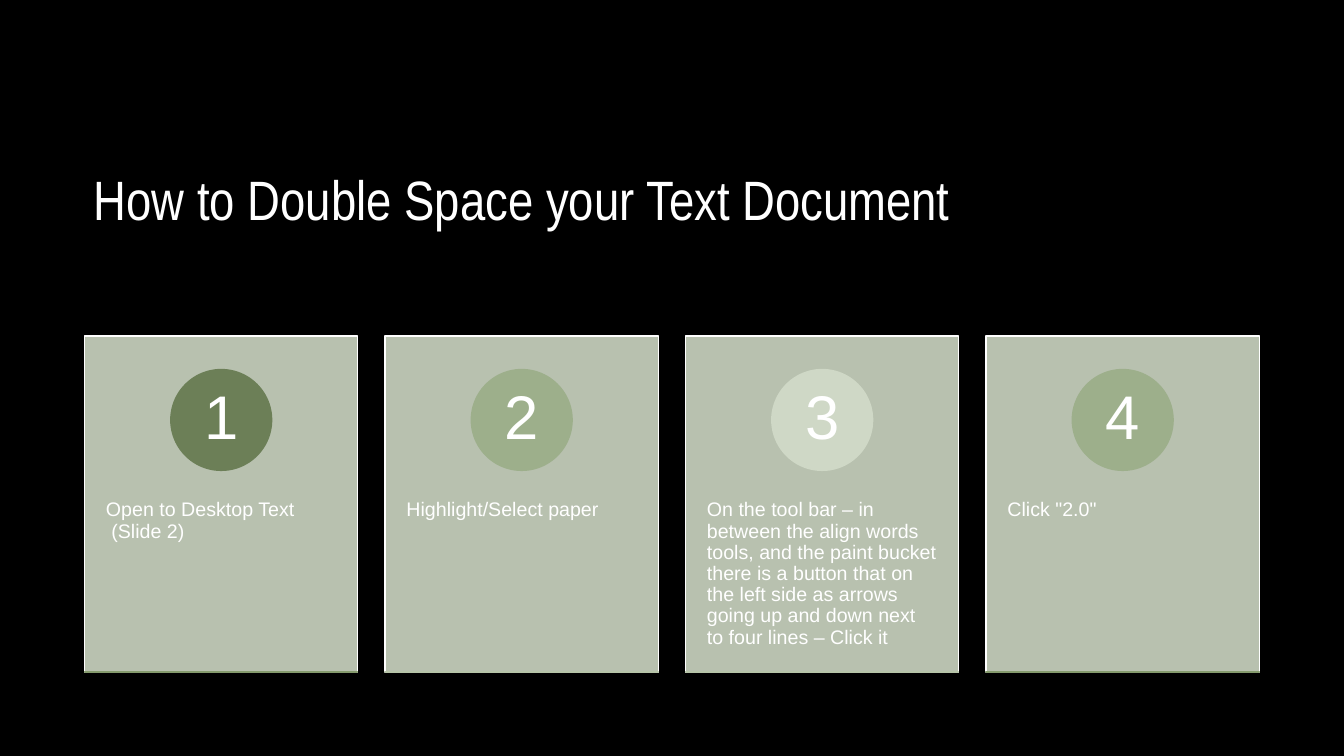
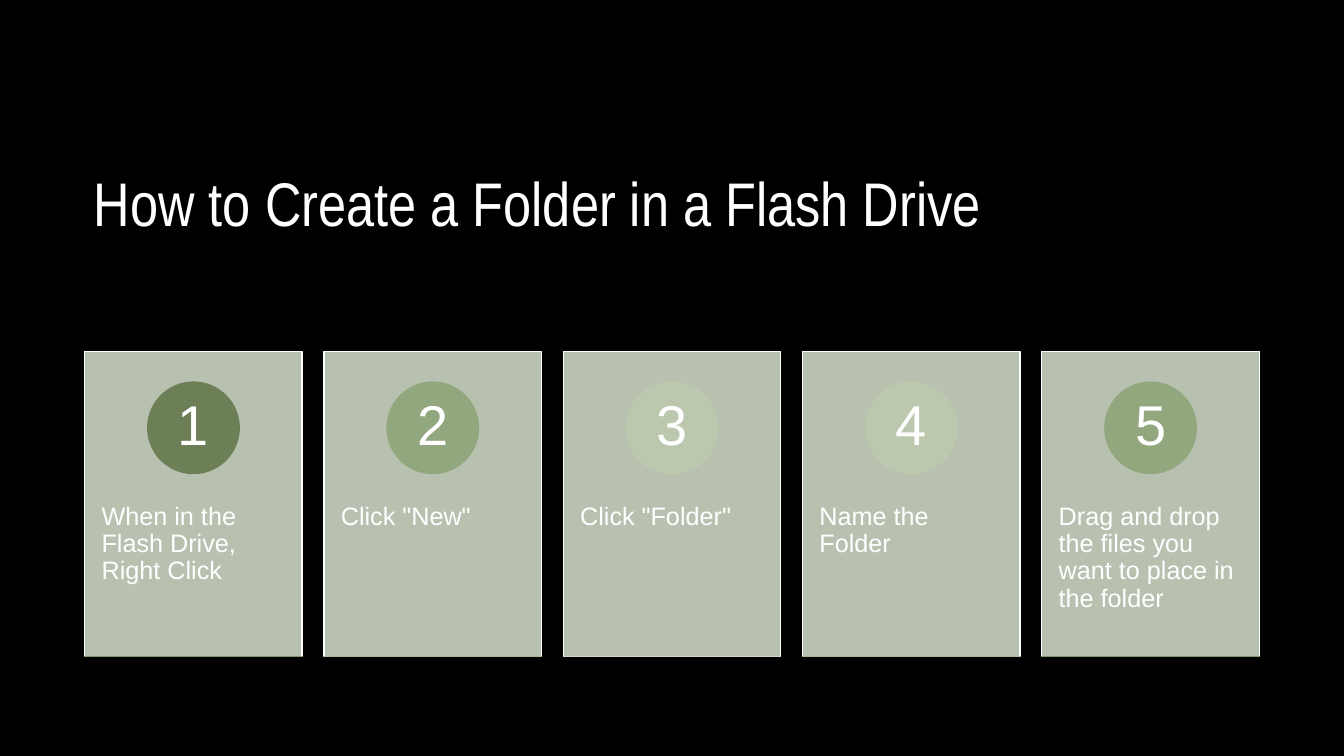
from dataclasses import dataclass
from typing import Any

from lxml.etree import SubElement
from pptx import Presentation
from pptx.dml.color import RGBColor as RGB
from pptx.enum.shapes import MSO_SHAPE as Geo
from pptx.enum.text import MSO_ANCHOR as Anchor, MSO_AUTO_SIZE as Fit, PP_ALIGN as Align
from pptx.oxml.ns import qn
from pptx.util import Emu, Inches, Pt

prs = Presentation()
prs.slide_width, prs.slide_height = Inches(13.33), Inches(7.5)
SW, SH = prs.slide_width, prs.slide_height

BLACK, WHITE, CARD = "000000", "FFFFFF", "CDD7C3"
CARD_ALPHA = 90
BODY_FONT, TITLE_FONT = "Arial", "Arial Narrow"
ROW_LEFT, ROW_WIDTH, ROW_MIDDLE = SW * 0.063, SW * 0.874, SH * 2 / 3
GAP = 0.1
SIDE_INSET = 0.078
RULE_HEIGHT = SH / 100000


@dataclass(frozen=True)
class Box:
    x: float
    y: float
    w: float
    h: float

    def emu(self) -> tuple[Emu, ...]:
        return tuple(Emu(round(v)) for v in (self.x, self.y, self.w, self.h))

    def middle(self, size: float) -> "Box":
        return Box(self.x + (self.w - size) / 2, self.y + (self.h - size) / 2, size, size)


@dataclass(frozen=True)
class Step:
    text: str
    circle: str
    rule: str


@dataclass(frozen=True)
class Deck:
    title: str
    title_size: float
    card_height: float
    text_size: float
    number_size: float
    steps: tuple[Step, ...]


def color(value: str) -> RGB:
    return RGB.from_string(value)


def apply(target: Any, formats: dict[str, Any]) -> None:
    for name, value in formats.items():
        setattr(target, name, value)


def draw_shape(shapes: Any, geo: Geo, box: Box, fill: str, line: str, alpha: int = 100) -> None:
    sp = shapes.add_shape(geo, *box.emu())
    sp.shadow.inherit = False
    sp.fill.solid()
    sp.fill.fore_color.rgb = color(fill)
    sp.line.color.rgb = color(line)
    sp.line.width = Pt(1)
    if alpha < 100:
        clr = sp._element.spPr.find(qn("a:solidFill"))[0]
        SubElement(clr, qn("a:alpha"), val=str(alpha * 1000))


def draw_text(shapes: Any, box: Box, text: str, size: float, font: str = BODY_FONT,
              inset: tuple[float, float] = (Inches(0.1), Inches(0.05)),
              anchor: Anchor = Anchor.TOP, align: Align = Align.LEFT) -> None:
    tf = shapes.add_textbox(*box.emu()).text_frame
    dx, dy = (Emu(round(v)) for v in inset)
    apply(tf, {"word_wrap": True, "auto_size": Fit.NONE, "vertical_anchor": anchor,
               "margin_left": dx, "margin_right": dx, "margin_top": dy, "margin_bottom": dy})
    p = tf.paragraphs[0]
    apply(p, {"alignment": align, "line_spacing": 0.9})
    r = p.add_run()
    r.text = text
    apply(r.font, {"name": font, "size": Pt(size)})
    r.font.color.rgb = color(WHITE)


def draw_card(shapes: Any, deck: Deck, number: int, step: Step, card: Box) -> None:
    side = card.w * SIDE_INSET
    disc = card.h * 0.3
    circle = Box(card.x + (card.w - disc) / 2, card.y + card.h * 0.1, disc, disc)
    body = Box(card.x, card.y + card.h * 0.38, card.w, card.h * 0.6)
    rule = Box(card.x, card.y + card.h, card.w, RULE_HEIGHT)
    draw_shape(shapes, Geo.RECTANGLE, card, CARD, WHITE, CARD_ALPHA)
    draw_text(shapes, body, step.text, deck.text_size, inset=(side, Inches(0.36)))
    draw_shape(shapes, Geo.OVAL, circle, step.circle, step.circle)
    draw_text(shapes, circle.middle(disc * 0.71), str(number), deck.number_size,
              inset=(disc * 0.08, Inches(0.01)), anchor=Anchor.MIDDLE, align=Align.CENTER)
    draw_shape(shapes, Geo.RECTANGLE, rule, step.rule, step.rule)


def draw_slide(deck: Deck) -> None:
    s = prs.slides.add_slide(prs.slide_layouts[6])
    s.background.fill.solid()
    s.background.fill.fore_color.rgb = color(BLACK)
    title = Box(SW / 16, SH * 2 / 9, SW * 0.75, SH * 0.184)
    draw_text(s.shapes, title, deck.title, deck.title_size, TITLE_FONT)
    count = len(deck.steps)
    width = ROW_WIDTH / (count + GAP * (count - 1))
    height = SH * deck.card_height
    group = s.shapes.add_group_shape()
    for i, step in enumerate(deck.steps):
        card = Box(ROW_LEFT + i * width * (1 + GAP), ROW_MIDDLE - height / 2, width, height)
        draw_card(group.shapes, deck, i + 1, step, card)


DECKS = (
    Deck("How to Double Space your Text Document", 39.6, 4 / 9, 14, 44, (
        Step("Open to Desktop Text\u00a0 \u00a0(Slide 2)", "6C7F57", "859B6D"),
        Step("Highlight/Select paper", "9DAF8B", "B6C4A8"),
        Step("On the tool bar – in between the align words tools, and the paint bucket "
             "there is a button that on the left side as arrows going up and down next to "
             "four lines – Click it", "CFD8C6", "B6C4A8"),
        Step('Click "2.0"', "9DAF8B", "859B6D"),
    )),
    Deck("How to Create a Folder in a Flash Drive", 44, 0.403, 18, 40, (
        Step("When in the Flash Drive, Right Click", "6C7F57", "809767"),
        Step('Click "New"', "93A77F", "A7B897"),
        Step('Click "Folder"', "BBC8AE", "CFD8C6"),
        Step("Name the Folder", "BBC8AE", "A7B897"),
        Step("Drag and drop the files you want to place in the folder", "93A77F", "809767"),
    )),
)

for deck in DECKS:
    draw_slide(deck)

prs.save("out.pptx")
